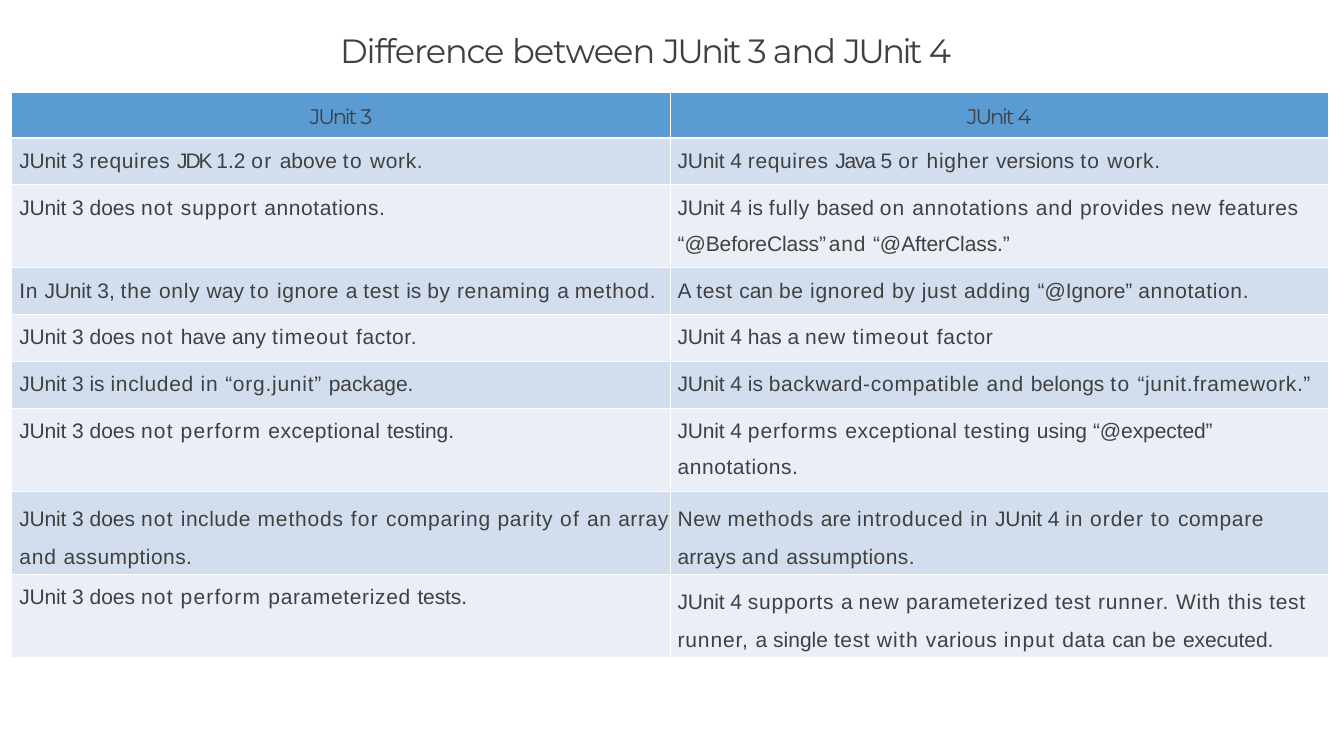
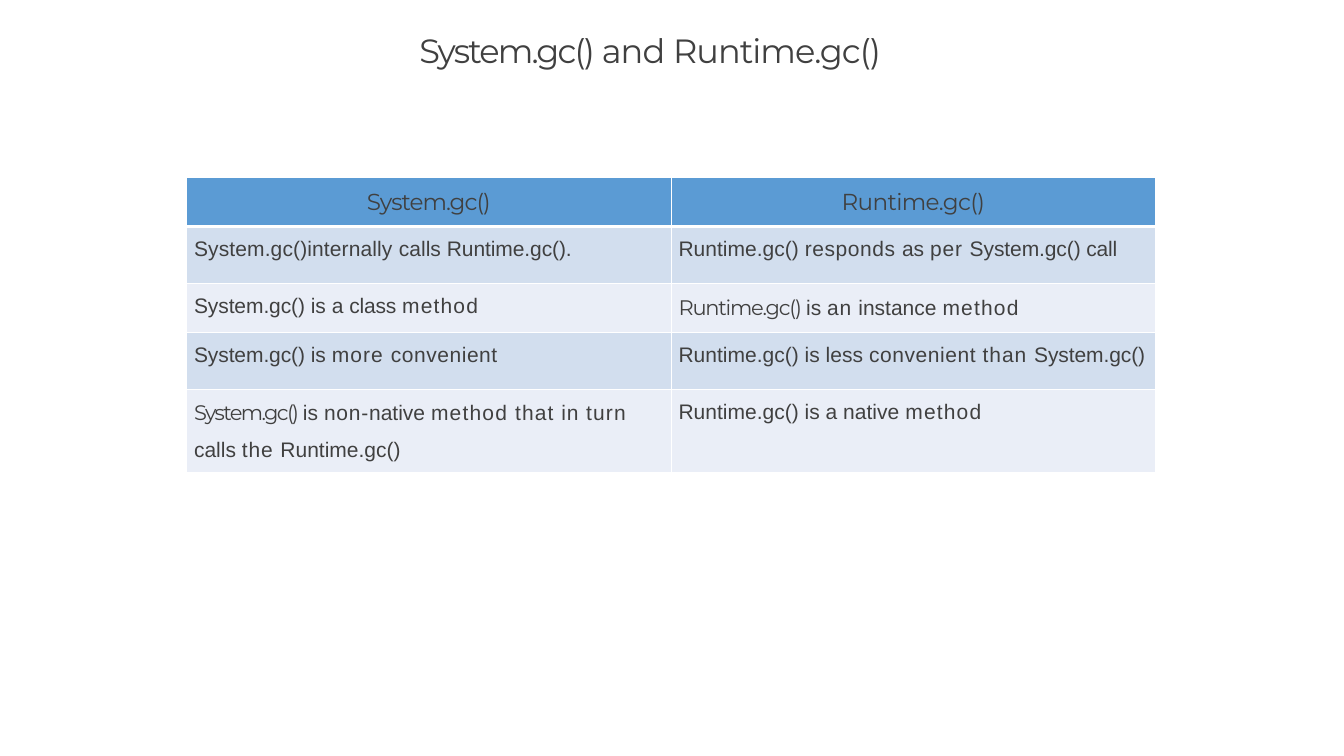
from dataclasses import dataclass
from itertools import groupby

from lxml.etree import SubElement
from pptx import Presentation
from pptx.dml.color import RGBColor
from pptx.enum.text import MSO_AUTO_SIZE as AutoSize, PP_ALIGN as Align
from pptx.oxml.ns import qn
from pptx.util import Cm, Pt

WHITE = RGBColor(0xFF, 0xFF, 0xFF)
TEXT_GRAY = RGBColor(0x40, 0x40, 0x40)
HEADER_BLUE = RGBColor(0x5B, 0x9B, 0xD4)
BANDS = (RGBColor(0xD2, 0xDE, 0xEE), RGBColor(0xEA, 0xEE, 0xF7))

TITLE_SPACING = {
    "Difference": -1.1, "between": -0.9, "and": -0.9, "JUnit": -2.5,
    "3": -2.8, "4": -3.3, "System.gc()": -1.8, "Runtime.gc()": -1,
}
HEADER_SPACING = {
    "JUnit": -2, "3": -0.5, "4": -0.5, "System.gc()": -0.9, "Runtime.gc()": -0.6,
}
LEAD_SPACING = {"System.gc()": -1.6, "Runtime.gc()": -1.2}
WORDS_BY_SPACING = {
    -2: "JDK",
    -1.2: "Java",
    -0.2: "JUnit class call",
    -0.1: "“@BeforeClass” “@AfterClass.” “@expected” package. testing. tests. "
          "executed. System.gc() Runtime.gc().",
    0.1: "System.gc()internally",
    0.4: "assumptions.",
    0.5: "annotations. features by factor. backward- exceptional include array "
         "New various responds convenient",
    0.6: "requires work. provides In only ignore be adding annotation. included "
         "“junit.framework.” testing an compare parameterized this test data",
    0.7: "higher fully annotations new renaming ignored just factor “org.junit” "
         "compatible comparing parity supports With non-",
    0.8: "and the method. in methods introduced runner. runner, per",
    0.9: "support performs order than",
    1: "on more that",
    1.1: "not timeout perform of with input method turn",
    1.2: "or to for",
}
BODY_SPACING = {
    word: spacing for spacing, words in WORDS_BY_SPACING.items() for word in words.split()
}


@dataclass(frozen=True)
class TextStyle:
    font: str
    size: int
    spacing: dict[str, float]


@dataclass(frozen=True)
class Entry:
    lines: tuple[str, ...]
    tight: bool = False
    lead: str = ""


@dataclass(frozen=True)
class Comparison:
    title: str
    title_indent: Cm
    left: Cm
    top: Cm
    frame_width: Cm
    column_width: Cm
    row_heights: tuple[float, ...]
    header_size: int
    headers: tuple[str, str]
    rows: tuple[tuple[Entry, Entry], ...]


TITLE_STYLE = TextStyle("Montserrat", 32, TITLE_SPACING)
BODY_STYLE = TextStyle("Arial", 20, BODY_SPACING)
LEAD_STYLE = TextStyle("Montserrat", 20, LEAD_SPACING)


def entry(*lines: str, tight: bool = False, lead: str = "") -> Entry:
    return Entry(lines, tight, lead)


COMPARISONS = (
    Comparison(
        "Difference between JUnit 3 and JUnit 4", Cm(1.12),
        Cm(0.4), Cm(3.12), Cm(44.53), Cm(22.12),
        (1.52, 1.57, 2.79, 1.57, 1.57, 1.57, 2.79, 2.79, 2.79),
        20, ("JUnit 3", "JUnit 4"),
        (
            (entry("JUnit 3 requires JDK 1.2 or above to work."),
             entry("JUnit 4 requires Java 5 or higher versions to work.")),
            (entry("JUnit 3 does not support annotations."),
             entry("JUnit 4 is fully based on annotations and provides new features",
                   "“@BeforeClass”\tand “@AfterClass.”")),
            (entry("In JUnit 3, the only way to ignore a test is by renaming a method."),
             entry("A test can be ignored by just adding “@Ignore” annotation.")),
            (entry("JUnit 3 does not have any timeout factor."),
             entry("JUnit 4 has a new timeout factor")),
            (entry("JUnit 3 is included in “org.junit” package."),
             entry("JUnit 4 is backward-compatible and belongs to “junit.framework.”")),
            (entry("JUnit 3 does not perform exceptional testing."),
             entry("JUnit 4 performs exceptional testing using “@expected”",
                   "annotations.")),
            (entry("JUnit 3 does not include methods for comparing parity of an array "
                   "and assumptions.", tight=True),
             entry("New methods are introduced in JUnit 4 in order to compare arrays "
                   "and assumptions.", tight=True)),
            (entry("JUnit 3 does not perform parameterized tests."),
             entry("JUnit 4 supports a new parameterized test runner. With this test "
                   "runner, a single test with various input data can be executed.",
                   tight=True)),
        ),
    ),
    Comparison(
        "System.gc() and Runtime.gc()", Cm(3.78),
        Cm(6.27), Cm(5.95), Cm(32.82), Cm(16.28),
        (1.65, 1.93, 1.63, 1.91, 2.79),
        22, ("System.gc()", "Runtime.gc()"),
        (
            (entry("System.gc()internally calls Runtime.gc()."),
             entry("Runtime.gc() responds as per System.gc() call")),
            (entry("System.gc() is a class method"),
             entry("is an instance method", lead="Runtime.gc() ")),
            (entry("System.gc() is more convenient"),
             entry("Runtime.gc() is less convenient than System.gc()")),
            (entry("is non-native method that in turn", "calls the Runtime.gc()",
                   lead="System.gc() "),
             entry("Runtime.gc() is a native method")),
        ),
    ),
)


def add_runs(paragraph, text: str, style: TextStyle) -> None:
    for separator in (" ", "\t", "-"):
        text = text.replace(separator, separator + "|")
    words = text.split("|")
    for spacing, group in groupby(words, lambda word: style.spacing.get(word.strip(), 0)):
        run = paragraph.add_run()
        run.text = "".join(group)
        run.font.name = style.font
        run.font.size = Pt(style.size)
        run.font.color.rgb = TEXT_GRAY
        run._r.get_or_add_rPr().set("spc", str(round(spacing * 100)))


def set_indent(paragraph, indent: Cm) -> None:
    properties = paragraph._p.get_or_add_pPr()
    properties.set("marL", str(indent))
    properties.set("indent", "0")


def add_tab_stop(paragraph, position: Cm) -> None:
    tabs = SubElement(paragraph._p.get_or_add_pPr(), qn("a:tabLst"))
    SubElement(tabs, qn("a:tab"), pos=str(position), algn="l")


def format_cell(cell, fill: RGBColor, top_margin: Cm, top_line: int, bottom_line: int) -> None:
    properties = cell._tc.get_or_add_tcPr()
    for side, width in (("L", 1), ("R", 1), ("T", top_line), ("B", bottom_line)):
        line = SubElement(properties, qn(f"a:ln{side}"), w=str(Pt(width)))
        SubElement(SubElement(line, qn("a:solidFill")), qn("a:srgbClr"), val=str(WHITE))
    cell.fill.solid()
    cell.fill.fore_color.rgb = fill
    cell.margin_left = cell.margin_right = cell.margin_bottom = 0
    cell.margin_top = top_margin


def fill_entry(cell, content: Entry) -> None:
    frame = cell.text_frame
    for index, line in enumerate(content.lines):
        paragraph = frame.add_paragraph() if index else frame.paragraphs[0]
        set_indent(paragraph, Cm(0.25))
        if content.tight:
            paragraph.line_spacing = Pt(36)
            paragraph.space_before = Pt(1.9)
        else:
            paragraph.space_before = Pt(12 if index else 10.7)
        if "\t" in line:
            add_tab_stop(paragraph, Cm(5.64))
        if content.lead and index == 0:
            add_runs(paragraph, content.lead, LEAD_STYLE)
        add_runs(paragraph, line, BODY_STYLE)


def add_title(slide, text: str, indent: Cm) -> None:
    shape = slide.shapes.add_textbox(Cm(10.31), Cm(0.97), Cm(24.54), Cm(1.65))
    frame = shape.text_frame
    frame.word_wrap = True
    frame.auto_size = AutoSize.SHAPE_TO_FIT_TEXT
    frame.margin_left = frame.margin_right = frame.margin_bottom = 0
    frame.margin_top = Cm(0.03)
    paragraph = frame.paragraphs[0]
    paragraph.space_before = Pt(1.1)
    set_indent(paragraph, indent)
    add_runs(paragraph, text, TITLE_STYLE)


def add_comparison_table(slide, comparison: Comparison) -> None:
    heights = [Cm(height) for height in comparison.row_heights]
    shape = slide.shapes.add_table(
        len(heights), 2, comparison.left, comparison.top,
        comparison.frame_width, sum(heights),
    )
    table = shape.table
    for column in table.columns:
        column.width = comparison.column_width
    for row, height in zip(table.rows, heights):
        row.height = height
    shape.width = comparison.frame_width

    header_style = TextStyle("Montserrat", comparison.header_size, HEADER_SPACING)
    for column, text in enumerate(comparison.headers):
        cell = table.cell(0, column)
        format_cell(cell, HEADER_BLUE, Cm(0.38), 1, 3)
        paragraph = cell.text_frame.paragraphs[0]
        paragraph.alignment = Align.CENTER
        paragraph.space_before = Pt(10.6)
        add_runs(paragraph, text, header_style)

    for index, entries in enumerate(comparison.rows):
        for column, content in enumerate(entries):
            cell = table.cell(index + 1, column)
            top_margin = Cm(0.07 if content.tight else 0.38)
            format_cell(cell, BANDS[index % 2], top_margin, 1 if index else 3, 1)
            fill_entry(cell, content)


def main() -> None:
    presentation = Presentation()
    presentation.slide_width = Cm(45.16)
    presentation.slide_height = Cm(25.4)
    for comparison in COMPARISONS:
        slide = presentation.slides.add_slide(presentation.slide_layouts[6])
        add_title(slide, comparison.title, comparison.title_indent)
        add_comparison_table(slide, comparison)
    presentation.save("out.pptx")


if __name__ == "__main__":
    main()
